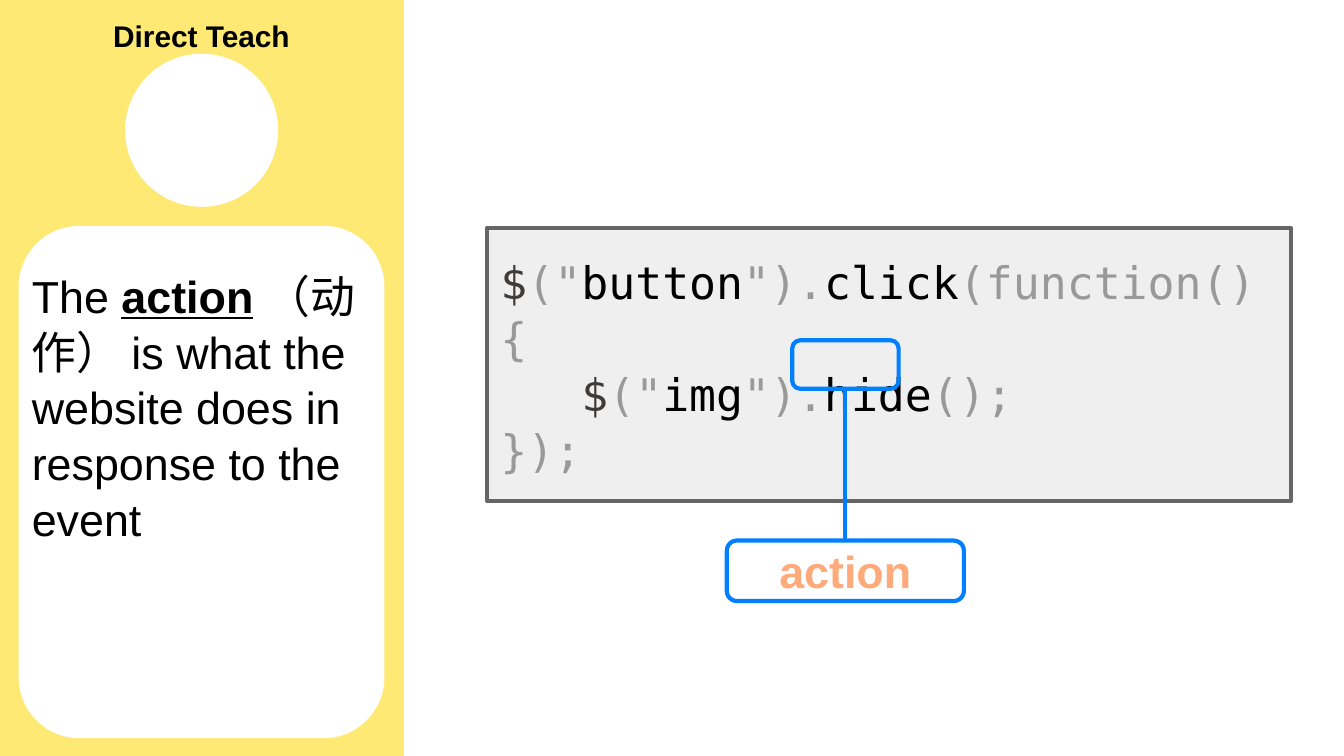
from pptx import Presentation
from pptx.dml.color import RGBColor
from pptx.enum.shapes import MSO_CONNECTOR, MSO_SHAPE
from pptx.enum.text import MSO_ANCHOR, PP_ALIGN
from pptx.oxml.ns import qn
from pptx.util import Pt
from lxml.etree import SubElement

YELLOW = RGBColor(0xFE, 0xE9, 0x75)
WHITE = RGBColor(0xFF, 0xFF, 0xFF)
BLACK = RGBColor(0x00, 0x00, 0x00)
PANEL = RGBColor(0xEF, 0xEF, 0xEF)
BORDER = RGBColor(0x66, 0x66, 0x66)
DARK = RGBColor(0x3F, 0x3B, 0x39)
GREY = RGBColor(0x99, 0x99, 0x99)
BLUE = RGBColor(0x00, 0x80, 0xFF)
ORANGE = RGBColor(0xFF, 0xAA, 0x7B)

SANS = {"name": "Arial", "size": Pt(24)}
STRONG = {**SANS, "bold": True}
HEADING = {**STRONG, "size": Pt(16)}
TERM = {**STRONG, "underline": True}
CODE = {"name": "DejaVu Sans Mono", "size": Pt(24)}

DEFINITION = [[
    ("The ", SANS, BLACK),
    ("action", TERM, BLACK),
    (" （动作） is what the website does in response to the event", SANS, BLACK),
]]
CODE_LINES = [
    [("$", DARK), ('("', GREY), ("button", BLACK), ('").', GREY),
     ("click", BLACK), ("(function() {", GREY)],
    [("   ", GREY), ("$", DARK), ('("', GREY), ("img", BLACK), ('").', GREY),
     ("hide", BLACK), ("();", GREY)],
    [("});", GREY)],
]


def add_box(s, kind, box, fill=None, line=None, width=2.25):
    sp = s.shapes.add_shape(kind, *map(Pt, box))
    sp.shadow.inherit = False
    if fill is None:
        sp.fill.background()
    else:
        sp.fill.solid()
        sp.fill.fore_color.rgb = fill
    if line is None:
        sp.line.fill.background()
    else:
        sp.line.color.rgb = line
        sp.line.width = Pt(width)
    return sp


def add_text(s, box):
    return s.shapes.add_textbox(*map(Pt, box))


def write(sp, paragraphs, align=PP_ALIGN.LEFT, anchor=MSO_ANCHOR.MIDDLE, spacing=1.0):
    tf = sp.text_frame
    frame = {"word_wrap": True, "vertical_anchor": anchor}
    for side in ("left", "top", "right", "bottom"):
        frame[f"margin_{side}"] = Pt(7.2)
    for key, value in frame.items():
        setattr(tf, key, value)
    for i, runs in enumerate(paragraphs):
        p = tf.add_paragraph() if i else tf.paragraphs[0]
        p.alignment = align
        p.line_spacing = spacing
        for text, style, color in runs:
            r = p.add_run()
            r.text = text
            for key, value in style.items():
                setattr(r.font, key, value)
            r.font.color.rgb = color


def join_up(s, lower, upper):
    sp = s.shapes.add_connector(MSO_CONNECTOR.STRAIGHT, 0, 0, 0, 0)
    sp.begin_connect(lower, 0)
    sp.end_connect(upper, 2)
    sp.line.color.rgb = BLUE
    sp.line.width = Pt(2.25)
    SubElement(sp._element.spPr, qn("a:effectLst"))


def add_sidebar(s):
    add_box(s, MSO_SHAPE.RECTANGLE, (0, -0.5, 216, 406), YELLOW, YELLOW, 0.75)
    heading = add_text(s, (0, 10, 216, 18))
    write(heading, [[("Direct Teach", HEADING, BLACK)]], PP_ALIGN.CENTER)
    add_box(s, MSO_SHAPE.OVAL, (67, 28.8, 82, 82), WHITE)
    add_box(s, MSO_SHAPE.ROUNDED_RECTANGLE, (10, 121, 196, 274.5), WHITE)
    definition = add_text(s, (10, 135.4, 196, 245))
    write(definition, DEFINITION, anchor=MSO_ANCHOR.TOP, spacing=1.04)


def add_code(s):
    panel = add_box(s, MSO_SHAPE.RECTANGLE, (261, 122.2, 430.6, 146.2), PANEL, BORDER)
    lines = [[(text, CODE, color) for text, color in line] for line in CODE_LINES]
    write(panel, lines, spacing=1.04)


def add_callout(s):
    marker = add_box(s, MSO_SHAPE.ROUNDED_RECTANGLE, (424.4, 182.3, 57, 26), line=BLUE)
    label = add_box(s, MSO_SHAPE.ROUNDED_RECTANGLE, (389.4, 289.6, 127, 32.4), line=BLUE)
    write(label, [[("action", STRONG, ORANGE)]], PP_ALIGN.CENTER)
    join_up(s, label, marker)


def main():
    prs = Presentation()
    prs.slide_width, prs.slide_height = Pt(720), Pt(405)
    s = prs.slides.add_slide(prs.slide_layouts[6])
    add_sidebar(s)
    add_code(s)
    add_callout(s)
    prs.save("out.pptx")


if __name__ == "__main__":
    main()
